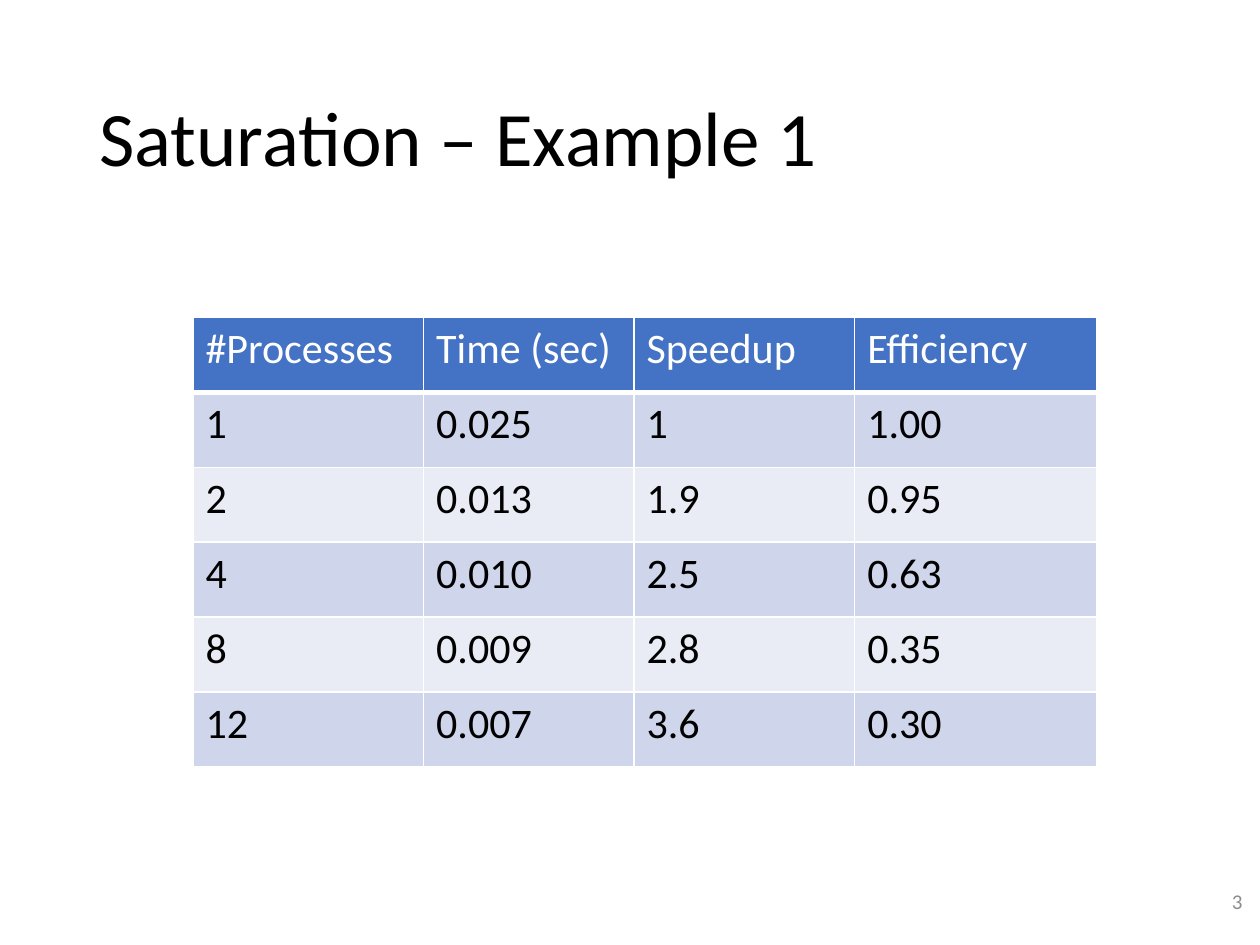
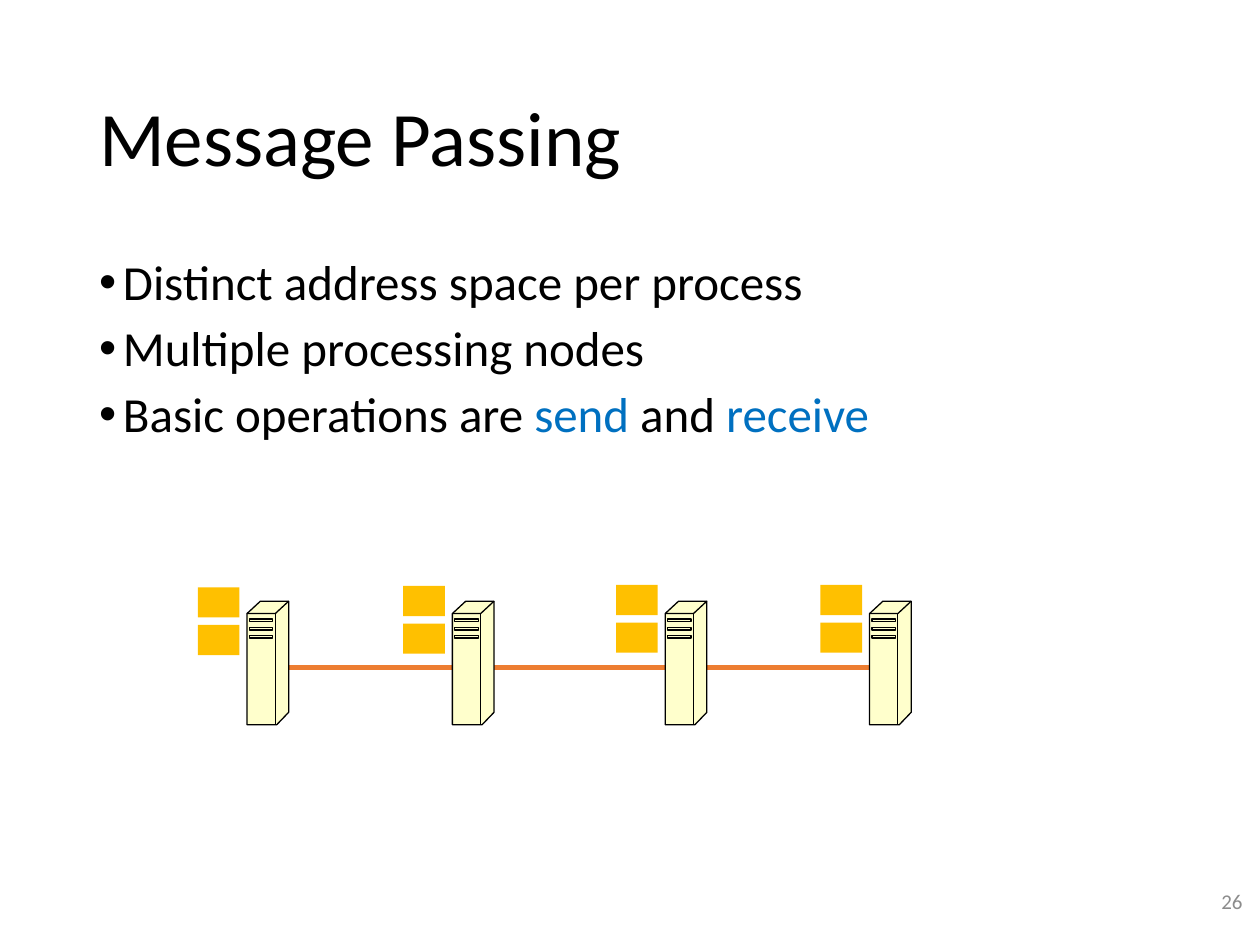
from lxml import etree
from pptx import Presentation
from pptx.dml.color import RGBColor
from pptx.enum.shapes import MSO_CONNECTOR, MSO_SHAPE
from pptx.enum.text import MSO_ANCHOR, PP_ALIGN
from pptx.oxml.ns import qn
from pptx.util import Cm, Pt

STRAIGHT = MSO_CONNECTOR.STRAIGHT
RECTANGLE = MSO_SHAPE.RECTANGLE
TOP, MIDDLE = MSO_ANCHOR.TOP, MSO_ANCHOR.MIDDLE
RIGHT = PP_ALIGN.RIGHT

COLORS = {
    "text": "000000", "number": "8C8C8C", "keyword": "0070C0",
    "header": "4472C4", "odd": "CFD5EA", "even": "E9EBF5", "white": "FFFFFF",
    "network": "ED7D31", "server": "FFFFCC", "memory": "FFC000",
}

SATURATION = {
    "title": "Saturation – Example 1",
    "number": "3",
    "rows": [
        ("#Processes", "Time (sec)", "Speedup", "Efficiency"),
        ("1", "0.025", "1", "1.00"),
        ("2", "0.013", "1.9", "0.95"),
        ("4", "0.010", "2.5", "0.63"),
        ("8", "0.009", "2.8", "0.35"),
        ("12", "0.007", "3.6", "0.30"),
    ],
}
MESSAGE_PASSING = {
    "title": "Message Passing",
    "number": "26",
    "bullets": [
        [("Distinct address space per process", "text")],
        [("Multiple processing nodes", "text")],
        [("Basic operations are ", "text"), ("send", "keyword"),
         (" and ", "text"), ("receive", "keyword")],
    ],
}

TITLE_BOX = (1.75, 1.02, 21.9, 3.68)
BULLET_BOX = (1.75, 5.08, 21.9, 4.95)
NUMBER_BOX = (19.58, 17.65, 5.72, 1.02)
TITLE_FORMAT = {"line_spacing": 0.9}
BULLET_FORMAT = {"line_spacing": 0.9, "space_before": Pt(7.5)}
NUMBER_FORMAT = {"alignment": RIGHT}

TABLE_LEFT, TABLE_TOP, ROW_HEIGHT = 3.89, 6.4, 1.51
COLUMN_WIDTHS = (4.65, 4.24, 4.45, 4.88)
BULLET_INDENT = 0.48

NODES = [(4.98, 11.84), (9.12, 11.81), (13.41, 11.79), (17.53, 11.79)]
SERVER_TOP, SERVER_WIDTH, SERVER_HEIGHT = 12.12, 0.84, 2.49
FRONT_WIDTH, FRONT_TOP = 0.57, 0.25
SLOT_LEFT, SLOT_RIGHT, SLOT_HEIGHT = 0.05, 0.52, 0.05
SLOT_TOPS = (0.36, 0.53, 0.69)
NETWORK_Y = 13.45
MEMORY_OFFSET, MEMORY_HEIGHT, MEMORY_PITCH = 0.99, 0.61, 0.76

SILHOUETTE = [(0, FRONT_TOP), (0.27, 0), (SERVER_WIDTH, 0), (SERVER_WIDTH, 2.24),
              (0.6, SERVER_HEIGHT), (0, SERVER_HEIGHT), (0, FRONT_TOP)]
EDGES = [
    [(0, FRONT_TOP), (FRONT_WIDTH, FRONT_TOP), (SERVER_WIDTH, 0)],
    [(FRONT_WIDTH, FRONT_TOP), (FRONT_WIDTH, SERVER_HEIGHT)],
]
SLOTS = [
    [(SLOT_LEFT, top), (SLOT_RIGHT, top), (SLOT_RIGHT, top + SLOT_HEIGHT),
     (SLOT_LEFT, top + SLOT_HEIGHT), (SLOT_LEFT, top)]
    for top in SLOT_TOPS
]


def rgb(color):
    return RGBColor.from_string(COLORS[color])


def apply(target, values):
    for name, value in values.items():
        setattr(target, name, value)


def add_run(paragraph, text, size, color):
    run = paragraph.add_run()
    run.text = text
    apply(run.font, {"name": "Calibri", "size": Pt(size)})
    run.font.color.rgb = rgb(color)


def add_text_frame(slide, box, anchor):
    frame = slide.shapes.add_textbox(*map(Cm, box)).text_frame
    apply(frame, {"word_wrap": True, "vertical_anchor": anchor})
    return frame


def add_line_of_text(slide, box, text, size, color, values):
    paragraph = add_text_frame(slide, box, MIDDLE).paragraphs[0]
    apply(paragraph, values)
    add_run(paragraph, text, size, color)


def add_base_slide(deck, content):
    slide = deck.slides.add_slide(deck.slide_layouts[6])
    add_line_of_text(slide, TITLE_BOX, content["title"], 44, "text", TITLE_FORMAT)
    add_line_of_text(slide, NUMBER_BOX, content["number"], 12, "number", NUMBER_FORMAT)
    return slide


def add_borders(cell, bottom):
    properties = cell._tc.get_or_add_tcPr()
    widths = {"a:lnL": 1, "a:lnR": 1, "a:lnT": 1, "a:lnB": bottom}
    for position, (side, width) in enumerate(widths.items()):
        border = etree.Element(qn(side), w=str(Pt(width)))
        fill = etree.SubElement(border, qn("a:solidFill"))
        etree.SubElement(fill, qn("a:srgbClr"), val=COLORS["white"])
        properties.insert(position, border)


def add_measurements(slide, rows):
    table = slide.shapes.add_table(
        len(rows), len(COLUMN_WIDTHS), Cm(TABLE_LEFT), Cm(TABLE_TOP),
        Cm(sum(COLUMN_WIDTHS)), Cm(ROW_HEIGHT * len(rows))).table
    for column, width in zip(table.columns, COLUMN_WIDTHS):
        column.width = Cm(width)
    for index, (row, values) in enumerate(zip(table.rows, rows)):
        row.height = Cm(ROW_HEIGHT)
        is_header = index == 0
        band = "header" if is_header else "odd" if index % 2 else "even"
        for cell, value in zip(row.cells, values):
            cell.fill.solid()
            cell.fill.fore_color.rgb = rgb(band)
            add_borders(cell, 3 if is_header else 1)
            add_run(cell.text_frame.paragraphs[0], value, 24,
                    "white" if is_header else "text")


def add_bullets(slide, bullets):
    frame = add_text_frame(slide, BULLET_BOX, TOP)
    for index, pieces in enumerate(bullets):
        paragraph = frame.add_paragraph() if index else frame.paragraphs[0]
        properties = paragraph._p.get_or_add_pPr()
        properties.set("marL", str(Cm(BULLET_INDENT)))
        properties.set("indent", str(-Cm(BULLET_INDENT)))
        etree.SubElement(properties, qn("a:buFont"), typeface="Arial")
        etree.SubElement(properties, qn("a:buChar"), char="•")
        apply(paragraph, BULLET_FORMAT)
        if index == 0:
            paragraph.space_before = Pt(0)
        for text, color in pieces:
            add_run(paragraph, text, 28, color)


def add_outline(slide, left, contours):
    placed = [[(Cm(left + x), Cm(SERVER_TOP + y)) for x, y in contour]
              for contour in contours]
    builder = slide.shapes.build_freeform(*placed[0][0])
    for index, (start, *rest) in enumerate(placed):
        if index:
            builder.move_to(*start)
        builder.add_line_segments(rest, close=start == rest[-1])
    outline = builder.convert_to_shape()
    outline.shadow.inherit = False
    outline.line.color.rgb = rgb("text")
    outline.line.width = Pt(0.75)
    return outline


def add_server(slide, left):
    body = add_outline(slide, left, [SILHOUETTE])
    body.fill.solid()
    body.fill.fore_color.rgb = rgb("server")
    add_outline(slide, left, EDGES + SLOTS).fill.background()


def add_memory(slide, left, top):
    for position in range(2):
        block = slide.shapes.add_shape(
            RECTANGLE, Cm(left), Cm(top + position * MEMORY_PITCH),
            Cm(SERVER_WIDTH), Cm(MEMORY_HEIGHT))
        block.shadow.inherit = False
        block.fill.solid()
        block.fill.fore_color.rgb = rgb("memory")
        block.line.fill.background()


def add_cluster(slide):
    network = slide.shapes.add_connector(
        STRAIGHT, Cm(NODES[0][0]), Cm(NETWORK_Y),
        Cm(NODES[-1][0] + SERVER_WIDTH), Cm(NETWORK_Y))
    network.line.color.rgb = rgb("network")
    network.line.width = Pt(3)
    etree.SubElement(network._element.spPr, qn("a:effectLst"))
    for left, memory_top in NODES:
        add_server(slide, left)
        add_memory(slide, left - MEMORY_OFFSET, memory_top)


def main():
    deck = Presentation()
    apply(deck, {"slide_width": Cm(25.4), "slide_height": Cm(19.05)})
    add_measurements(add_base_slide(deck, SATURATION), SATURATION["rows"])
    message_slide = add_base_slide(deck, MESSAGE_PASSING)
    add_bullets(message_slide, MESSAGE_PASSING["bullets"])
    add_cluster(message_slide)
    deck.save("out.pptx")


if __name__ == "__main__":
    main()
